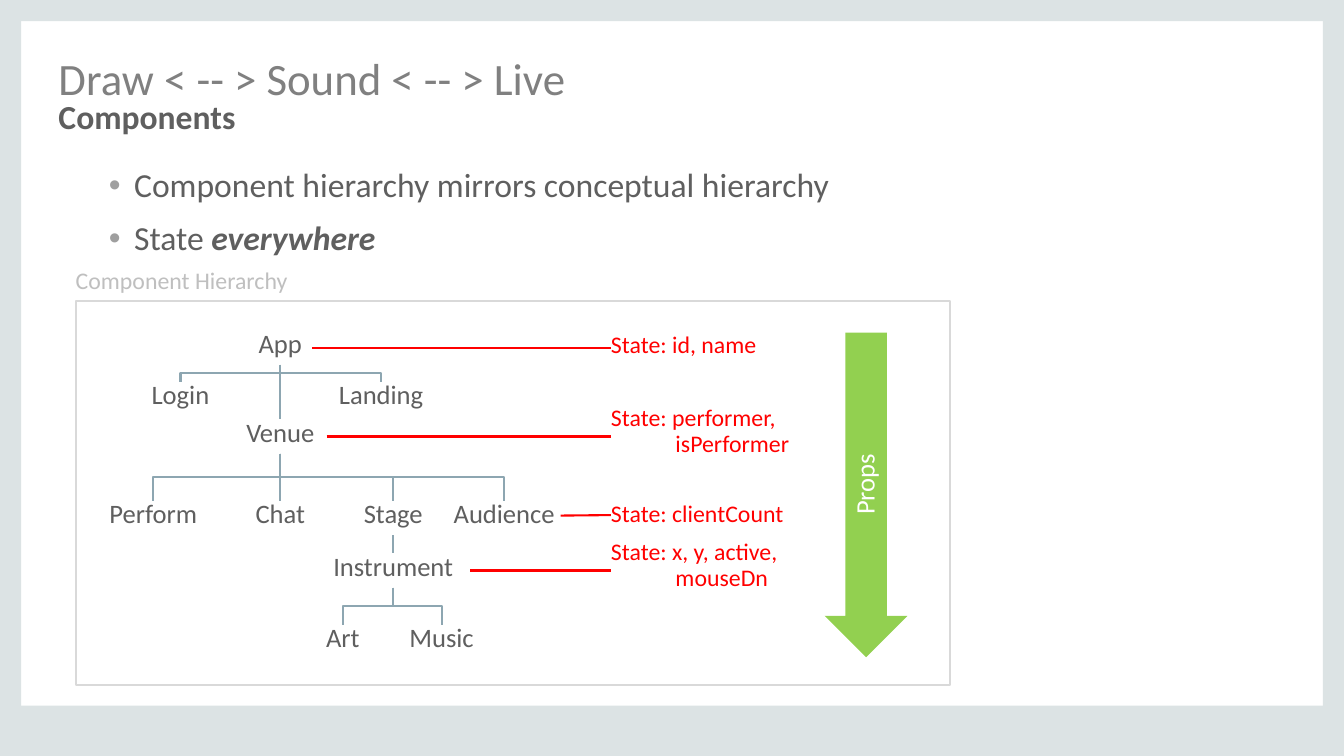
import pptx
import pptx.dml.color
import pptx.enum.shapes
import pptx.enum.text
import pptx.oxml
import pptx.oxml.ns
import pptx.util
from lxml import etree

Inches = pptx.util.Inches
ALIGN = pptx.enum.text.PP_ALIGN
ANCHOR = pptx.enum.text.MSO_ANCHOR
AUTO_SIZE = pptx.enum.text.MSO_AUTO_SIZE
SHAPE = pptx.enum.shapes.MSO_SHAPE
CONNECTOR = pptx.enum.shapes.MSO_CONNECTOR
qn = pptx.oxml.ns.qn

COLORS = {
    "band": "DCE3E4", "title": "808080", "text": "5F5F5F", "bullet": "9F9F9F",
    "tree": "8DA6B1", "state": "FF0000", "props": "92D050", "white": "FFFFFF",
    "frame": "D9D9D9", "caption": "BFBFBF",
}

# component: centre x, top, width, height
COMPONENTS = {
    "App": (2.78, 3.28, 0.63, 0.34),
    "Login": (1.79, 3.79, 0.8, 0.34),
    "Landing": (3.78, 3.79, 1.11, 0.34),
    "Venue": (2.78, 4.16, 0.92, 0.34),
    "Perform": (1.52, 4.97, 1.15, 0.34),
    "Chat": (2.78, 4.97, 0.7, 0.34),
    "Stage": (3.9, 4.97, 0.82, 0.34),
    "Audience": (5.0, 4.97, 1.12, 0.29),
    "Instrument": (3.9, 5.49, 1.53, 0.34),
    "Art": (3.4, 6.2, 0.51, 0.34),
    "Music": (4.38, 6.2, 0.87, 0.34),
}
CHILDREN = {
    "App": ["Login", "Landing", "Venue"],
    "Venue": ["Perform", "Chat", "Stage", "Audience"],
    "Stage": ["Instrument"],
    "Instrument": ["Art", "Music"],
}
# component: top, width, height and lines of its state note
STATES = {
    "App": (3.3, 1.71, 0.3, ["State: id, name"]),
    "Venue": (4.03, 2.1, 0.6, ["State: performer,", "isPerformer"]),
    "Audience": (4.98, 1.73, 0.26, ["State: clientCount"]),
    "Instrument": (5.36, 2.1, 0.6, ["State: x, y, active,", "mouseDn"]),
}
STATE_LEFT = 6.06
STATE_INDENT = 0.64


def rgb(color):
    return pptx.dml.color.RGBColor.from_string(COLORS[color])


def write(paragraph, text, *, size=19, color="text", bold=None, italic=None,
          align=ALIGN.LEFT, spacing=0.9, before=0):
    """Append a run to the paragraph; a final newline becomes a line break."""
    paragraph.alignment = align
    paragraph.line_spacing = spacing
    paragraph.space_before = pptx.util.Pt(before)
    run = paragraph.add_run()
    run.text = text.rstrip("\n")
    font = run.font
    font.name, font.size = "Calibri", pptx.util.Pt(size)
    font.bold, font.italic = bold, italic
    font.color.rgb = rgb(color)
    if text.endswith("\n"):
        paragraph.add_line_break()
        etree.SubElement(paragraph._p[-1], qn("a:rPr"), sz=str(size * 100))


def indent(paragraph, left, first=0):
    properties = paragraph._p.get_or_add_pPr()
    properties.set("marL", str(Inches(left)))
    properties.set("indent", str(Inches(first)))
    return properties


def add_bullet(paragraph):
    properties = indent(paragraph, 0.25, -0.25)
    bullet_color = etree.SubElement(properties, qn("a:buClr"))
    etree.SubElement(bullet_color, qn("a:srgbClr"), val=COLORS["bullet"])
    etree.SubElement(properties, qn("a:buFont"), typeface="Arial")
    etree.SubElement(properties, qn("a:buChar"), char="•")


class HierarchySlide:
    def __init__(self, deck):
        self.slide = deck.slides.add_slide(deck.slide_layouts[5])
        self.shapes = self.slide.shapes
        self.line_width = pptx.util.Pt(1.5)

    def frame(self, shape, side=0, wrap=True, grow=False):
        """Set the side margins and fitting of a shape's text."""
        frame = shape.text_frame
        frame.margin_left = frame.margin_right = Inches(side)
        frame.margin_top = frame.margin_bottom = 0
        frame.word_wrap = wrap
        frame.auto_size = AUTO_SIZE.SHAPE_TO_FIT_TEXT if grow else AUTO_SIZE.NONE
        return frame

    def title(self, heading, subheading):
        title = self.shapes.title
        title.left, title.top = Inches(0.58), Inches(0.49)
        title.width, title.height = Inches(12.17), Inches(0.97)
        frame = self.frame(title)
        frame.vertical_anchor = ANCHOR.MIDDLE
        paragraph = frame.paragraphs[0]
        write(paragraph, heading + "\n", size=32, color="title", spacing=0.8)
        write(paragraph, subheading, size=24, bold=True, spacing=0.8)

    def text(self, left, top, width, height, side=0, wrap=False):
        box = self.shapes.add_textbox(*map(Inches, (left, top, width, height)))
        return self.frame(box, side, wrap, grow=not wrap)

    def shape(self, kind, left, top, width, height, fill=None, line=None):
        shape = self.shapes.add_shape(kind, *map(Inches, (left, top, width, height)))
        shape.shadow.inherit = False
        if fill:
            shape.fill.solid()
            shape.fill.fore_color.rgb = rgb(fill)
        else:
            shape.fill.background()
        if line:
            shape.line.color.rgb = rgb(line)
            shape.line.width = self.line_width
        else:
            shape.line.fill.background()
        return shape

    def line(self, x1, y1, x2, y2, color, kind=CONNECTOR.STRAIGHT):
        connector = self.shapes.add_connector(kind, *map(Inches, (x1, y1, x2, y2)))
        connector.line.color.rgb = rgb(color)
        connector.line.width = self.line_width
        etree.SubElement(connector._element.spPr, qn("a:effectLst"))
        return connector

    def branch(self, x1, y1, x2, y2):
        """Join parent to child: down, across, down (a turned elbow)."""
        if x1 == x2:
            self.line(x1, y1, x2, y2, "tree")
            return
        drop, reach = y2 - y1, abs(x2 - x1)
        left, top = (x1 + x2 - drop) / 2, (y1 + y2 - reach) / 2
        elbow = self.line(left, top, left + drop, top + reach, "tree", CONNECTOR.ELBOW)
        xfrm = elbow._element.spPr.find(qn("a:xfrm"))
        xfrm.set("rot", str((270 if x2 > x1 else 90) * 60000))
        if x2 > x1:
            xfrm.set("flipH", "1")

    def component(self, name):
        center, top, width, height = COMPONENTS[name]
        frame = self.text(center - width / 2, top, width, height, side=0.05)
        write(frame.paragraphs[0], name, align=ALIGN.CENTER)
        for child in CHILDREN.get(name, []):
            child_center, child_top = COMPONENTS[child][:2]
            self.branch(center, top + height, child_center, child_top)

    def state(self, name):
        top, width, height, lines = STATES[name]
        center, node_top, node_width, node_height = COMPONENTS[name]
        self.line(center + node_width / 2, node_top + node_height / 2,
                  STATE_LEFT, top + height / 2, "state")
        frame = self.text(STATE_LEFT, top, width, height)
        for number, words in enumerate(lines):
            paragraph = frame.add_paragraph() if number else frame.paragraphs[0]
            write(paragraph, words, size=17, color="state")
            if number:
                indent(paragraph, STATE_INDENT)

    def bullets(self):
        frame = self.text(1.08, 1.67, 7.25, 1.41, wrap=True)
        mirror, state = frame.paragraphs[0], frame.add_paragraph()
        write(mirror, "Component hierarchy mirrors conceptual hierarchy", size=24, before=12)
        write(state, "State ", size=24, before=12)
        write(state, "everywhere", size=24, before=12, bold=True, italic=True)
        add_bullet(mirror)
        add_bullet(state)

    def props_arrow(self):
        arrow = self.shape(SHAPE.DOWN_ARROW, 8.18, 3.3, 0.82, 3.22, fill="props")
        frame = self.frame(arrow)
        frame.vertical_anchor = ANCHOR.MIDDLE
        frame._txBody.bodyPr.set("vert", "vert270")
        write(frame.paragraphs[0], "Props", color="white", align=ALIGN.CENTER)


def main():
    deck = pptx.Presentation()
    deck.slide_width, deck.slide_height = Inches(13.33), Inches(7.5)
    page = HierarchySlide(deck)
    for band in ((0, 0, 0.21, 7.5), (13.12, 0, 0.21, 7.5),
                 (0, 7, 13.33, 0.5), (0, 0, 13.33, 0.21)):
        page.shape(SHAPE.RECTANGLE, *band, fill="band")
    page.title("Draw < -- > Sound < -- > Live", "Components")
    page.bullets()
    for name in COMPONENTS:
        page.component(name)
    for name in STATES:
        page.state(name)
    page.props_arrow()
    page.shape(SHAPE.RECTANGLE, 0.75, 2.99, 8.67, 3.81, line="frame")
    caption = page.text(0.75, 2.67, 2.49, 0.3)
    write(caption.paragraphs[0], "Component Hierarchy", size=17, color="caption")
    deck.save("out.pptx")


if __name__ == "__main__":
    main()
